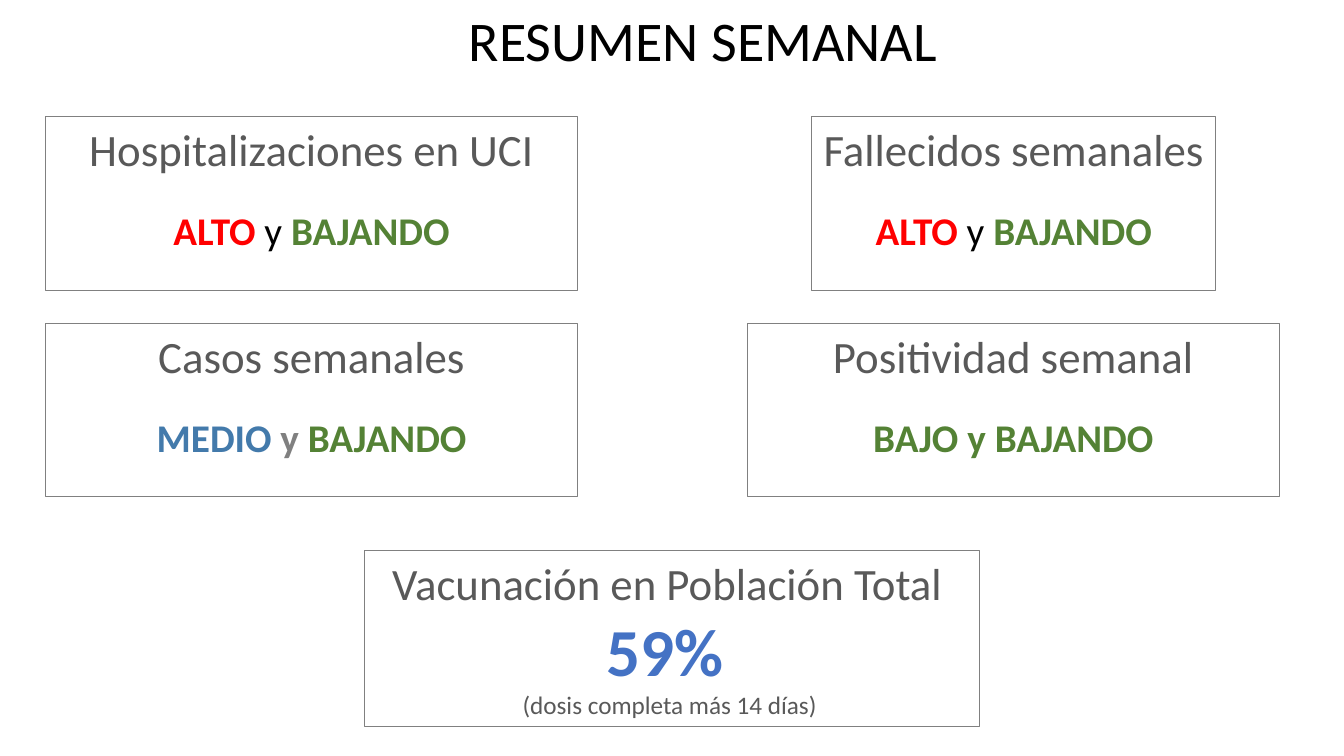
from pptx import Presentation
from pptx.util import Inches, Pt
from pptx.dml.color import RGBColor as RGB
from pptx.enum.shapes import MSO_SHAPE as Shape
from pptx.enum.text import MSO_ANCHOR as Anchor, MSO_AUTO_SIZE as Fit, PP_ALIGN as Align

COLORS = {
    "black": "000000", "text": "595959", "line": "808080", "red": "FF0000",
    "green": "548235", "steel": "437AAB", "blue": "4472C4",
}
FONT = "Calibri"


def add_run(par, text, size, color, bold=False):
    run = par.add_run()
    run.text = text
    font = run.font
    font.name, font.size, font.bold = FONT, Pt(size), bold
    font.color.rgb = RGB.from_string(COLORS[color])


def add_title(slide, box, text):
    title = slide.shapes.title
    title.left, title.top, title.width, title.height = map(Inches, box)
    frame = title.text_frame
    frame.word_wrap = False
    frame.auto_size = Fit.NONE
    frame.vertical_anchor = Anchor.TOP
    par = frame.paragraphs[0]
    par.alignment = Align.LEFT
    add_run(par, text, 40, "black")


def add_frame(slide, box, wrap=True):
    """Draw an outlined box and return its empty text frame."""
    rect = slide.shapes.add_shape(Shape.RECTANGLE, *map(Inches, box))
    rect.shadow.inherit = False
    rect.fill.background()
    rect.line.color.rgb = RGB.from_string(COLORS["line"])
    rect.line.width = Pt(0.75)
    frame = rect.text_frame
    frame.word_wrap = wrap
    frame.vertical_anchor = Anchor.TOP
    return frame


def add_line(frame, runs, first=False, gap=0):
    par = frame.paragraphs[0] if first else frame.add_paragraph()
    par.alignment = Align.CENTER
    if gap:
        par.space_before = Pt(gap)
    for run in runs:
        add_run(par, *run)


def add_card(slide, box, head, status, wrap=True):
    """Heading with a coloured status line below it."""
    frame = add_frame(slide, box, wrap)
    add_line(frame, [(head, 32, "text")], first=True)
    add_line(frame, [(text, 28, color, bold) for text, color, bold in status], gap=22)


def add_total(slide, box):
    """Vaccination box with its large figure."""
    frame = add_frame(slide, box)
    add_line(frame, [("Vacunación en Población Total ", 32, "text")], first=True)
    add_line(frame, [("59% ", 48, "blue", True)])
    add_line(frame, [("(dosis completa más 14 días) ", 18, "text")])


def main():
    prs = Presentation()
    prs.slide_width, prs.slide_height = Inches(13.33), Inches(7.5)
    slide = prs.slides.add_slide(prs.slide_layouts[5])
    add_title(slide, (4.55, 0, 4.89, 0.77), "RESUMEN SEMANAL")

    # Four indicators in two rows
    left, wide, high = 0.45, 5.28, 1.72
    top, low = 1.16, 3.21
    falling = [("ALTO", "red", True), (" y ", "black", False), ("BAJANDO", "green", True)]
    medium = [("MEDIO ", "steel", True), ("y ", "line", True), ("BAJANDO", "green", True)]
    small = [("BAJO y BAJANDO", "green", True)]
    add_card(slide, (left, top, wide, high), "Hospitalizaciones en UCI", falling)
    add_card(slide, (8.05, top, 4.01, high), "Fallecidos semanales", falling, wrap=False)
    add_card(slide, (left, low, wide, high), "Casos semanales", medium)
    add_card(slide, (7.41, low, wide, high), "Positividad semanal", small)

    # Vaccination
    add_total(slide, (3.62, 5.46, 6.1, 1.75))
    prs.save("out.pptx")


if __name__ == "__main__":
    main()
